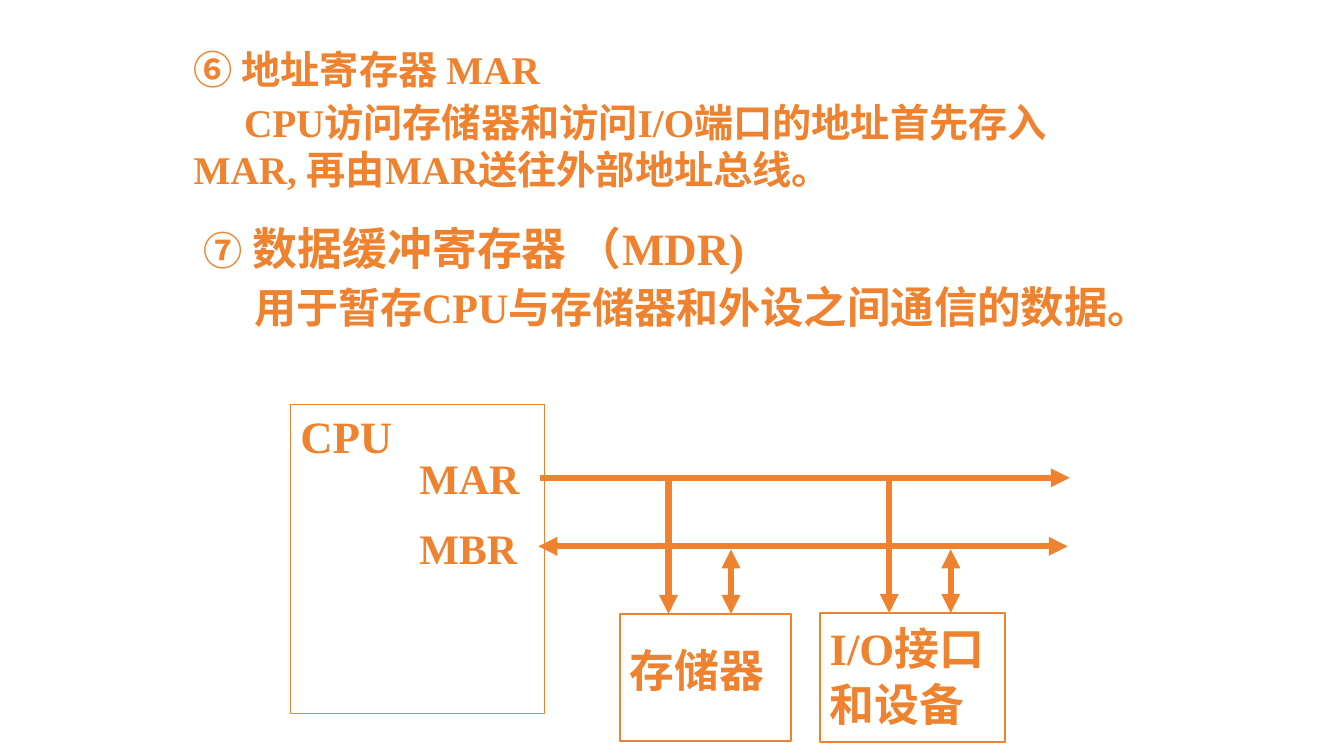
from dataclasses import dataclass
from lxml.etree import SubElement
from pptx import Presentation
from pptx.dml.color import RGBColor
from pptx.enum.shapes import MSO_CONNECTOR, MSO_SHAPE
from pptx.enum.text import MSO_ANCHOR, MSO_AUTO_SIZE, PP_ALIGN
from pptx.oxml.ns import qn
from pptx.util import Inches, Pt


@dataclass(frozen=True)
class Theme:
    """Hold the colour, the font and the type sizes."""
    ink: RGBColor = RGBColor(0xEE, 0x82, 0x2F)
    font: str = "Times New Roman"
    small: int = 28
    label: int = 30
    wide: int = 31
    large: int = 32
    thin: float = 0.75
    edge: float = 1.5
    bus: float = 4.5


THEME = Theme()


def add_runs(para, runs):
    """Add each (text, size) pair as one styled run."""
    for text, size in runs:
        run = para.add_run()
        run.text = text
        font = run.font
        font.name, font.size, font.bold = THEME.font, Pt(size), True
        font.color.rgb = THEME.ink


def set_frame(frame):
    """Make a frame wrap from the top at a fixed size."""
    frame.word_wrap = True
    frame.auto_size = MSO_AUTO_SIZE.NONE
    frame.vertical_anchor = MSO_ANCHOR.TOP


def add_section(holder, box, head, body):
    """Fill a placeholder with a heading and an indented paragraph."""
    holder.left, holder.top, holder.width, holder.height = map(Inches, box)
    frame = holder.text_frame
    set_frame(frame)
    rows = ((frame.paragraphs[0], head, 0, 0),
            (frame.add_paragraph(), body, 0.5, 4))
    for para, runs, indent, gap in rows:
        props = para._p.get_or_add_pPr()
        props.set("marL", "0")
        props.set("indent", str(Inches(indent)))
        SubElement(props, qn("a:buNone"))
        para.space_before = Pt(gap)
        add_runs(para, runs)


def add_block(slide, box, text, line, space=1.0):
    """Draw an outlined block with its name at the top left."""
    block = slide.shapes.add_shape(MSO_SHAPE.RECTANGLE, *map(Inches, box))
    block.shadow.inherit = False
    block.fill.background()
    block.line.color.rgb = THEME.ink
    block.line.width = Pt(line)
    set_frame(block.text_frame)
    para = block.text_frame.paragraphs[0]
    para.alignment = PP_ALIGN.LEFT
    para.line_spacing = space
    add_runs(para, [(text, THEME.large)])


def add_label(slide, box, text):
    """Write a register name."""
    frame = slide.shapes.add_textbox(*map(Inches, box)).text_frame
    set_frame(frame)
    add_runs(frame.paragraphs[0], [(text, THEME.label)])


def add_arrow(slide, start, end, both=False):
    """Draw a thick arrow with one or two heads."""
    arrow = slide.shapes.add_connector(
        MSO_CONNECTOR.STRAIGHT, *map(Inches, (*start, *end)))
    arrow.line.color.rgb = THEME.ink
    arrow.line.width = Pt(THEME.bus)
    line = arrow.line._get_or_add_ln()
    for tag in ("a:headEnd", "a:tailEnd") if both else ("a:tailEnd",):
        SubElement(line, qn(tag), type="triangle")
    SubElement(arrow._element.spPr, qn("a:effectLst"))


def add_cpu(slide, box):
    """Draw the CPU with its two registers and their buses."""
    x, y, wide, high = box
    add_block(slide, box, "CPU", THEME.thin)
    for row, name in enumerate(("MAR", "MBR")):
        add_label(slide, (x + 1.18, y + 0.43 + 0.69 * row, 1.28, 0.6), name)
        left, level = x + wide - 0.04 - 0.02 * row, y + 0.73 + 0.68 * row
        add_arrow(slide, (left, level), (left + 5.25, level), bool(row))


def add_unit(slide, box, text, space, taps, buses):
    """Draw a unit below the buses and its two taps."""
    x, y, wide, high = box
    add_block(slide, box, text, THEME.edge, space)
    for both, (tap, bus) in enumerate(zip(taps, buses)):
        add_arrow(slide, (x + tap, bus), (x + tap, y), bool(both))


def add_scheme(slide, box):
    """Lay out the CPU, the memory and the I/O unit in a box."""
    x, y, wide, high = box
    add_cpu(slide, (x, y, 2.52, 3.07))
    buses = (y + 0.75, y + 1.44)
    add_unit(slide, (x + 3.27, y + 2.08, 1.7, high - 2.09), "存储器", 1.45,
             (0.48, 1.1), buses)
    add_unit(slide, (x + 5.25, y + 2.07, 1.84, high - 2.07),
             "I/O接口和设备", 1.05, (0.69, 1.3), buses)


def main():
    """Build the register slide and save it."""
    deck = Presentation()
    deck.slide_width, deck.slide_height = Inches(13.33), Inches(7.5)
    slide = deck.slides.add_slide(deck.slide_layouts[3])
    title, first, second = slide.placeholders
    title._element.getparent().remove(title._element)
    add_section(
        first, (1.82, 0.4, 9.32, 1.58),
        [("⑥ 地址寄存器 MAR", THEME.small)],
        [("CPU访问存储器和访问I/O端口的地址首先存入MAR, "
          "再由MAR送往外部地址总线。", THEME.small)])
    add_section(
        second, (1.92, 2.14, 9.55, 1.26),
        [("⑦", THEME.small), (" 数据缓冲寄存器 （MDR)", THEME.large)],
        [("用于暂存CPU与存储器和外", THEME.label),
         ("设之间通信的数据。", THEME.wide)])
    add_scheme(slide, (2.88, 4.01, 7.73, 3.35))
    deck.save("out.pptx")


if __name__ == "__main__":
    main()
